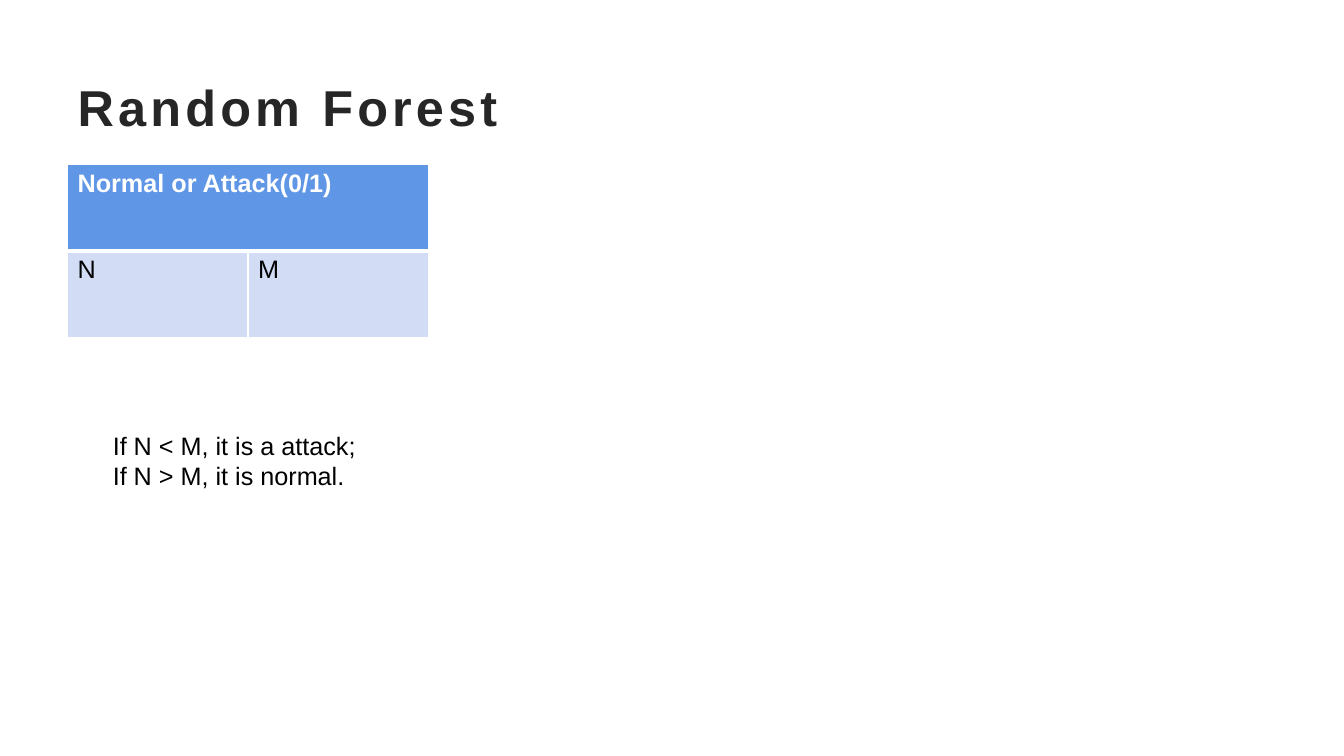
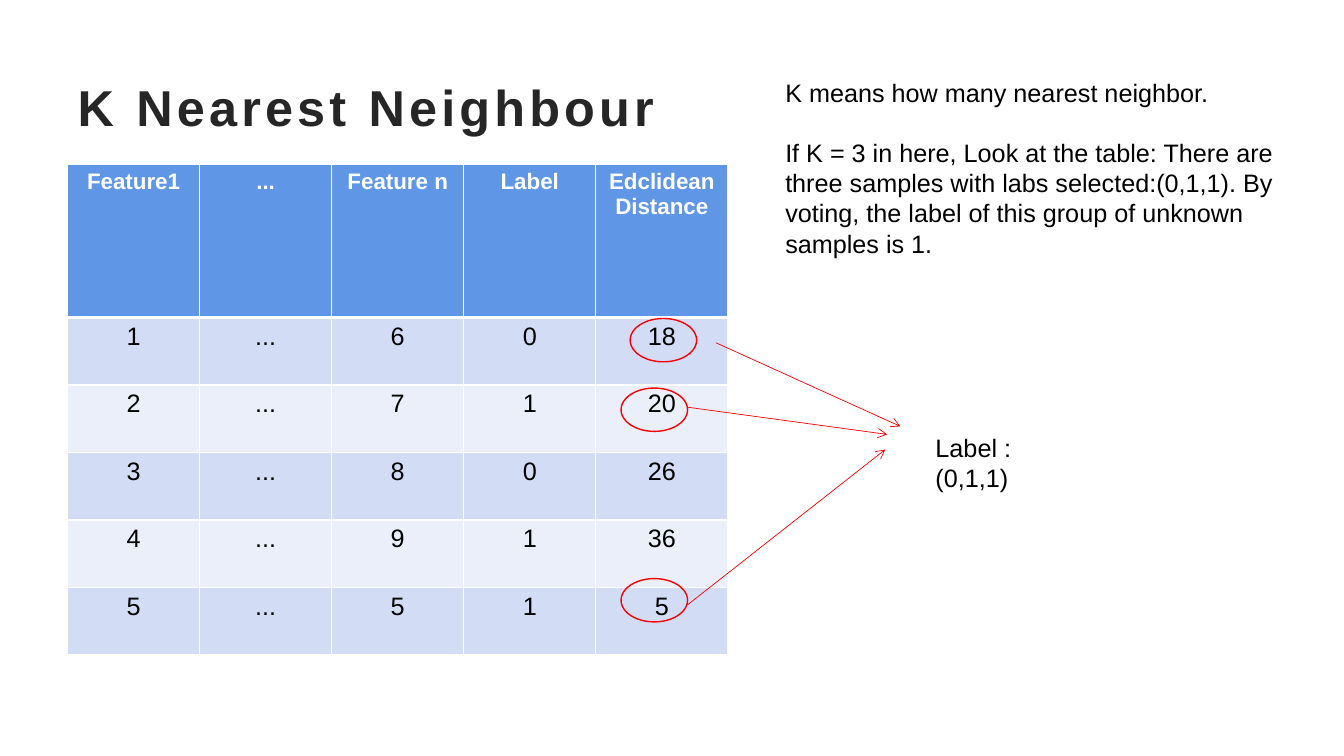
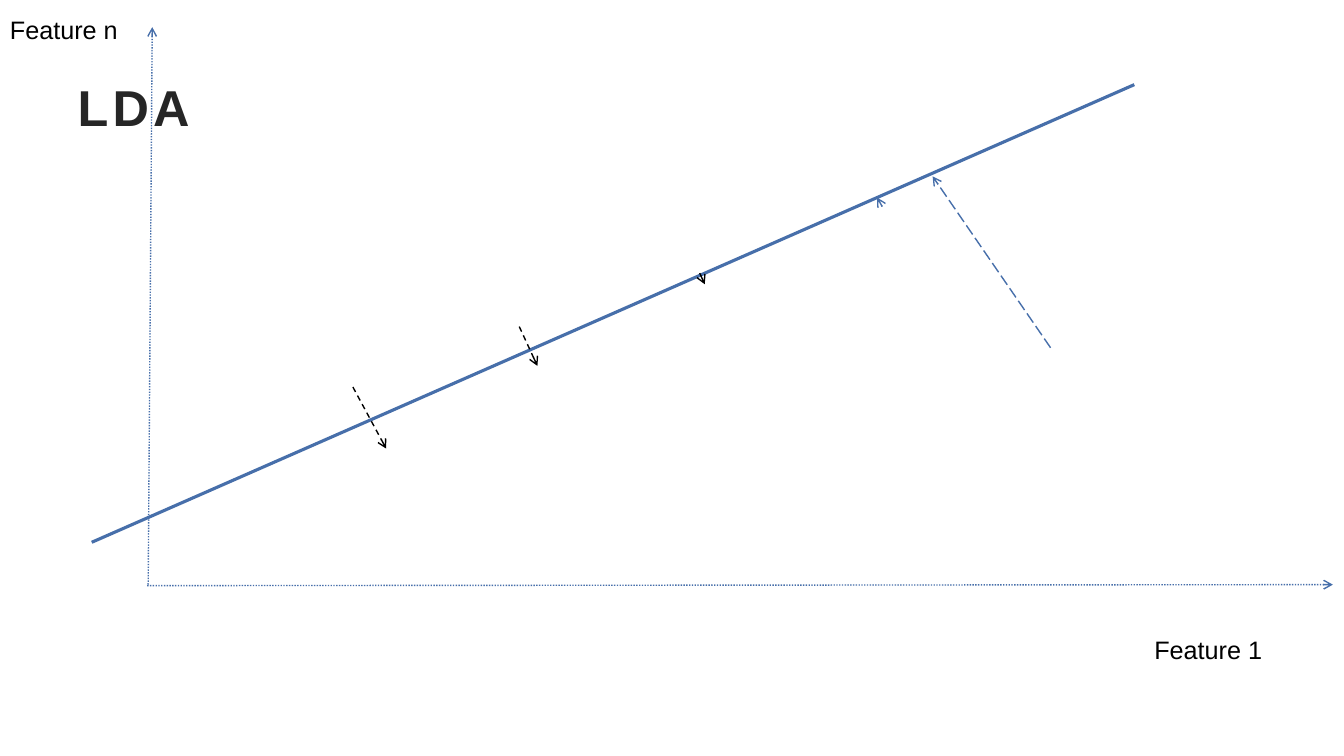
from dataclasses import dataclass
from typing import NamedTuple

from pptx import Presentation
from pptx.dml.color import RGBColor
from pptx.enum.dml import MSO_LINE
from pptx.enum.shapes import MSO_CONNECTOR, MSO_SHAPE
from pptx.enum.text import MSO_ANCHOR, PP_ALIGN
from pptx.oxml.ns import qn
from pptx.util import Emu, Pt
from lxml.etree import SubElement

EMU_PER_PX = 9144  # 100 px to the inch


@dataclass(frozen=True)
class Theme:
    font: str = "Arial"
    title: str = "262626"
    text: str = "000000"
    white: str = "FFFFFF"
    header: str = "6096E6"
    bands: tuple[str, str] = ("D2DDF5", "EAEFFA")
    mark: str = "FF0000"
    axis: str = "476FAA"
    title_pt: float = 36
    body_pt: float = 18
    small_pt: float = 16
    tracking: int = 300  # hundredths of a point
    para_gap: float = 21


T = Theme()


class Box(NamedTuple):
    x: int
    y: int
    w: int
    h: int


class Line(NamedTuple):
    x1: int
    y1: int
    x2: int
    y2: int
    color: str
    width: float = 1
    dash: MSO_LINE | None = None
    arrow: bool = True


TITLE_BOX = Box(67, 67, 1200, 77)
TABLE_X, TABLE_Y = 67, 163


def px(n: int) -> Emu:
    return Emu(n * EMU_PER_PX)


def rgb(color: str) -> RGBColor:
    return RGBColor.from_string(color)


# Shared drawing functions
def add_run(p, text: str, size: float = T.body_pt, color: str = T.text, bold: bool = False):
    r = p.add_run()
    r.text = text
    r.font.name, r.font.size, r.font.bold = T.font, Pt(size), bold
    r.font.color.rgb = rgb(color)
    return r


def add_slide(prs, title: str):
    s = prs.slides.add_slide(prs.slide_layouts[5])
    sp = s.shapes.title
    sp.left, sp.top, sp.width, sp.height = map(px, TITLE_BOX)
    tf = sp.text_frame
    tf.vertical_anchor = MSO_ANCHOR.MIDDLE
    p = tf.paragraphs[0]
    p.alignment = PP_ALIGN.LEFT
    r = add_run(p, title, T.title_pt, T.title, True)
    r.font._element.set("spc", str(T.tracking))
    return s


def add_text(s, box: Box, *lines: str, gap: float = 0) -> None:
    tf = s.shapes.add_textbox(*map(px, box)).text_frame
    tf.word_wrap = True
    for i, line in enumerate(lines):
        p = tf.add_paragraph() if i else tf.paragraphs[0]
        p.space_before = Pt(gap if i else 0)
        add_run(p, line)


def add_line(s, line: Line) -> None:
    cx = s.shapes.add_connector(MSO_CONNECTOR.STRAIGHT, *map(px, line[:4]))
    cx.line.color.rgb = rgb(line.color)
    cx.line.width = Pt(line.width)
    if line.dash:
        cx.line.dash_style = line.dash
    if line.arrow:
        SubElement(cx.line._get_or_add_ln(), qn("a:tailEnd"), type="arrow")
    SubElement(cx._element.spPr, qn("a:effectLst"))


def add_ring(s, box: Box) -> None:
    sp = s.shapes.add_shape(MSO_SHAPE.OVAL, *map(px, box))
    sp.shadow.inherit = False
    sp.fill.background()
    sp.line.color.rgb = rgb(T.mark)
    sp.line.width = Pt(1)


def set_borders(cell, top: float, bottom: float) -> None:
    tcPr = cell._tc.get_or_add_tcPr()
    for side, width in (("L", 1), ("R", 1), ("T", top), ("B", bottom)):
        ln = SubElement(tcPr, qn(f"a:ln{side}"), w=str(Pt(width)))
        fill = SubElement(ln, qn("a:solidFill"))
        SubElement(fill, qn("a:srgbClr"), val=T.white)


def add_table(s, rows: list[list[str]], col_w: int, heights: list[int],
              head_pt: float, align: PP_ALIGN):
    n = len(rows[0])
    tb = s.shapes.add_table(len(rows), n, px(TABLE_X), px(TABLE_Y),
                            px(col_w * n), px(sum(heights))).table
    tb.first_row = tb.horz_banding = False
    for col in tb.columns:
        col.width = px(col_w)
    for i, (row, height) in enumerate(zip(rows, heights)):
        tb.rows[i].height = px(height)
        head = i == 0
        for j, text in enumerate(row):
            cell = tb.cell(i, j)
            set_borders(cell, 3 if i == 1 else 1, 3 if head else 1)
            cell.fill.solid()
            cell.fill.fore_color.rgb = rgb(T.header if head else T.bands[(i - 1) % 2])
            p = cell.text_frame.paragraphs[0]
            p.alignment = align
            if text:
                add_run(p, text, head_pt if head else T.body_pt,
                        T.white if head else T.text, head)
    return tb


# Slides
def random_forest(prs) -> None:
    s = add_slide(prs, "Random Forest")
    tb = add_table(s, [["Normal or Attack(0/1)", ""], ["N", "M"]], 179, [86, 86],
                   T.body_pt, PP_ALIGN.LEFT)
    tb.cell(0, 0).merge(tb.cell(0, 1))
    add_text(s, Box(102, 422, 882, 71),
             "If N < M, it is a attack;", "If N > M, it is normal.")


def nearest_neighbour(prs) -> None:
    s = add_slide(prs, "K Nearest Neighbour")
    samples = [(6, 0, 18), (7, 1, 20), (8, 0, 26), (9, 1, 36), (5, 1, 5)]
    rows = [["Feature1", "...", "Feature n", "Label", "Edclidean Distance"]]
    rows += [[str(i), "...", *map(str, sample)] for i, sample in enumerate(samples, 1)]
    add_table(s, rows, 131, [152] + [67] * len(samples), T.small_pt, PP_ALIGN.CENTER)
    add_text(s, Box(769, 72, 506, 192),
             "K means how many nearest neighbor.",
             "If K = 3 in here, Look at the table: There are three samples with labs "
             "selected:(0,1,1). By voting, the label of this group of unknown samples is 1.",
             gap=T.para_gap)
    # Nearest samples and their votes
    for x, y in ((616, 385), (625, 316), (616, 574)):
        add_ring(s, Box(x, y, 66, 43))
    for ends in ((710, 340, 893, 423), (682, 404, 880, 431), (682, 600, 878, 446)):
        add_line(s, Line(*ends, T.mark, 0.5))
    add_text(s, Box(918, 424, 170, 40), "Label : (0,1,1)")


def lda(prs) -> None:
    s = add_slide(prs, "LDA")
    # Projection line
    add_line(s, Line(91, 538, 1125, 84, T.axis, 2.25, arrow=False))
    # Projections of the two classes, then the axes
    for color, dash, arrows in (
        (T.text, MSO_LINE.DASH,
         ((350, 384, 383, 445), (515, 324, 533, 363), (694, 271, 699, 282))),
        (T.axis, MSO_LINE.LONG_DASH, ((875, 205, 870, 196), (1042, 345, 925, 175))),
        (T.axis, MSO_LINE.ROUND_DOT, ((147, 580, 151, 27), (146, 581, 1322, 580))),
    ):
        for ends in arrows:
            add_line(s, Line(*ends, color, dash=dash))
    for x, y, name in ((1135, 624, "Feature 1"), (0, 9, "Feature n")):
        add_text(s, Box(x, y, 181, 40), name)


def main() -> None:
    prs = Presentation()
    prs.slide_width, prs.slide_height = px(1333), px(750)
    for build in (random_forest, nearest_neighbour, lda):
        build(prs)
    prs.save("out.pptx")


if __name__ == "__main__":
    main()
